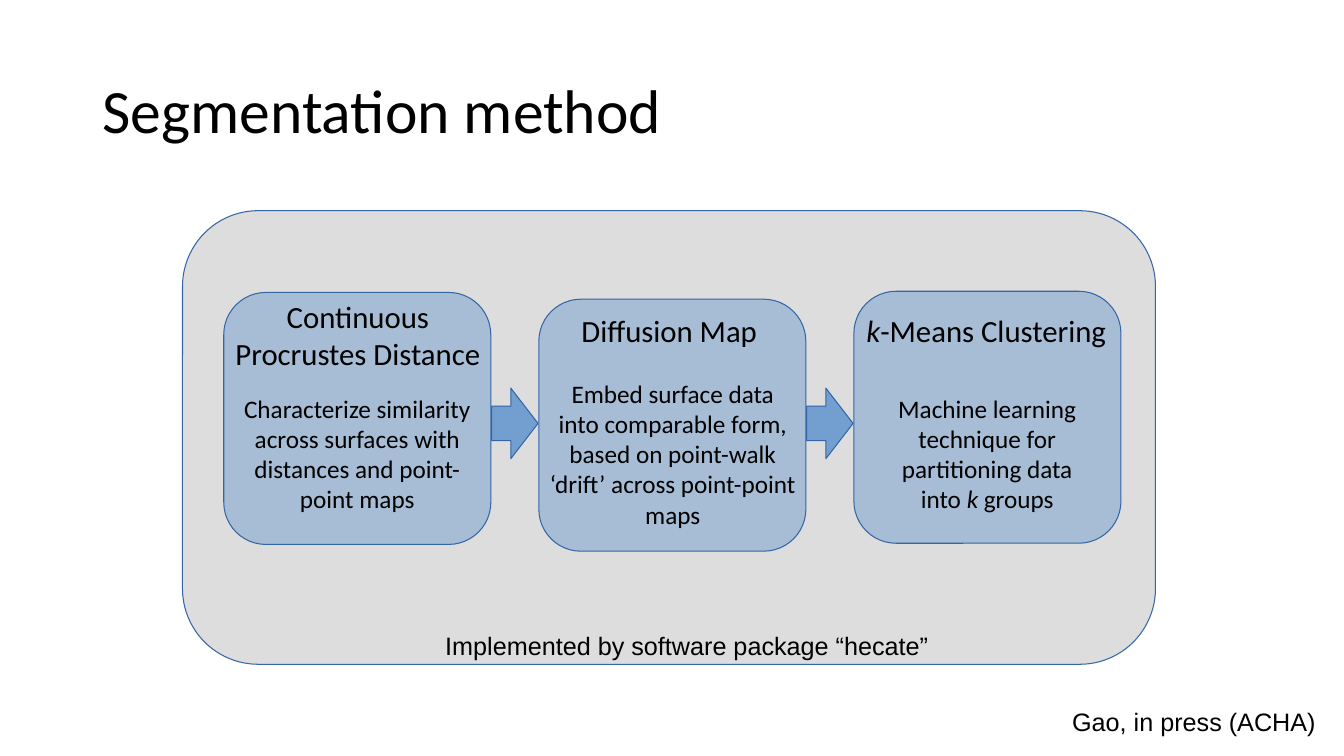
from dataclasses import dataclass

from lxml.etree import SubElement
from pptx import Presentation
from pptx.dml.color import RGBColor
from pptx.enum.shapes import MSO_SHAPE as Shape
from pptx.enum.text import MSO_ANCHOR as Anchor, PP_ALIGN as Align
from pptx.oxml.ns import qn
from pptx.util import Cm, Pt


@dataclass(frozen=True)
class Theme:
    ink: str = "000000"
    panel: str = "DDDDDD"
    blue: str = "729FCF"
    outline: str = "3465A4"
    heading_font: str = "Calibri"
    note_font: str = "Arial"
    title_size: int = 44
    heading_size: int = 22
    body_size: int = 18


theme = Theme()


def draw(kind, area, color, adjustments, opacity=100):
    shape = page.shapes.add_shape(kind, *map(Cm, area))
    shape.shadow.inherit = False
    for index, value in enumerate(adjustments):
        shape.adjustments[index] = value
    shape.fill.solid()
    shape.fill.fore_color.rgb = RGBColor.from_string(color)
    shape.line.color.rgb = RGBColor.from_string(theme.outline)
    shape.line.width = Pt(0.75)
    if opacity < 100:
        tint = shape.fill._xPr.find(qn("a:solidFill"))[0]
        SubElement(tint, qn("a:alpha"), val=str(opacity * 1000))


def write(text, area, box=None, font=theme.heading_font, size=theme.body_size,
          align=Align.LEFT, anchor=Anchor.TOP, spacing=None, wrap=True):
    left, top, width, height = map(Cm, area)
    if box is None:
        box = page.shapes.add_textbox(left, top, width, height)
    else:
        box.left, box.top, box.width, box.height = left, top, width, height
    frame = box.text_frame
    frame.word_wrap = wrap
    frame.vertical_anchor = anchor
    for number, line in enumerate(text.split("\n")):
        para = frame.add_paragraph() if number else frame.paragraphs[0]
        para.alignment = align
        if spacing:
            para.line_spacing = spacing
        for index, part in enumerate(line.split("*")):
            if part:
                span = para.add_run()
                span.text = part
                span.font.name = font
                span.font.size = Pt(size)
                span.font.italic = index % 2 == 1
                span.font.color.rgb = RGBColor.from_string(theme.ink)


deck = Presentation()
deck.slide_width, deck.slide_height = Cm(33.87), Cm(19.05)
page = deck.slides.add_slide(deck.slide_layouts[5])

write("Segmentation method", (2.33, 1.02, 29.21, 3.68), box=page.shapes.title,
      size=theme.title_size, anchor=Anchor.MIDDLE, spacing=0.9)

draw(Shape.ROUNDED_RECTANGLE, (4.6, 5.31, 24.52, 11.43), theme.panel, [0.167])

steps = [
    (7.37, "Continuous\nProcrustes Distance", (4.83, 7.37, 8.38, 2.84),
     "Characterize similarity\nacross surfaces with distances and point-point maps",
     (5.64, 9.78, 6.73, 3.1)),
    (7.54, "Diffusion Map", (14.25, 7.72, 5.23, 1.12),
     "Embed surface data into comparable form, based on point-walk "
     "‘drift’ across point-point maps",
     (13.59, 9.4, 6.73, 3.81)),
    (7.34, "*k*-Means Clustering", (21.26, 7.72, 7.19, 1.12),
     "Machine learning technique for partitioning data into *k* groups",
     (22.15, 9.78, 5.46, 3.1)),
]
first_left, pitch, step_width, step_height = 5.64, 7.94, 6.73, 6.35

for index, (top, heading, heading_area, body, body_area) in enumerate(steps):
    left = first_left + index * pitch
    draw(Shape.ROUNDED_RECTANGLE, (left, top, step_width, step_height),
         theme.blue, [0.167], opacity=50)
    write(heading, heading_area, size=theme.heading_size, align=Align.CENTER)
    write(body, body_area, align=Align.CENTER)
    if index < len(steps) - 1:
        draw(Shape.RIGHT_ARROW, (left + step_width + 0.02, 9.78, 1.17, 1.78),
             theme.blue, [0.486, 0.587])

write("Implemented by software package “hecate”", (10.97, 15.75, 13.49, 0.99),
      font=theme.note_font)
write("Gao, in press (ACHA)", (26.77, 17.68, 6.71, 1.02),
      font=theme.note_font, wrap=False)

deck.save("out.pptx")
